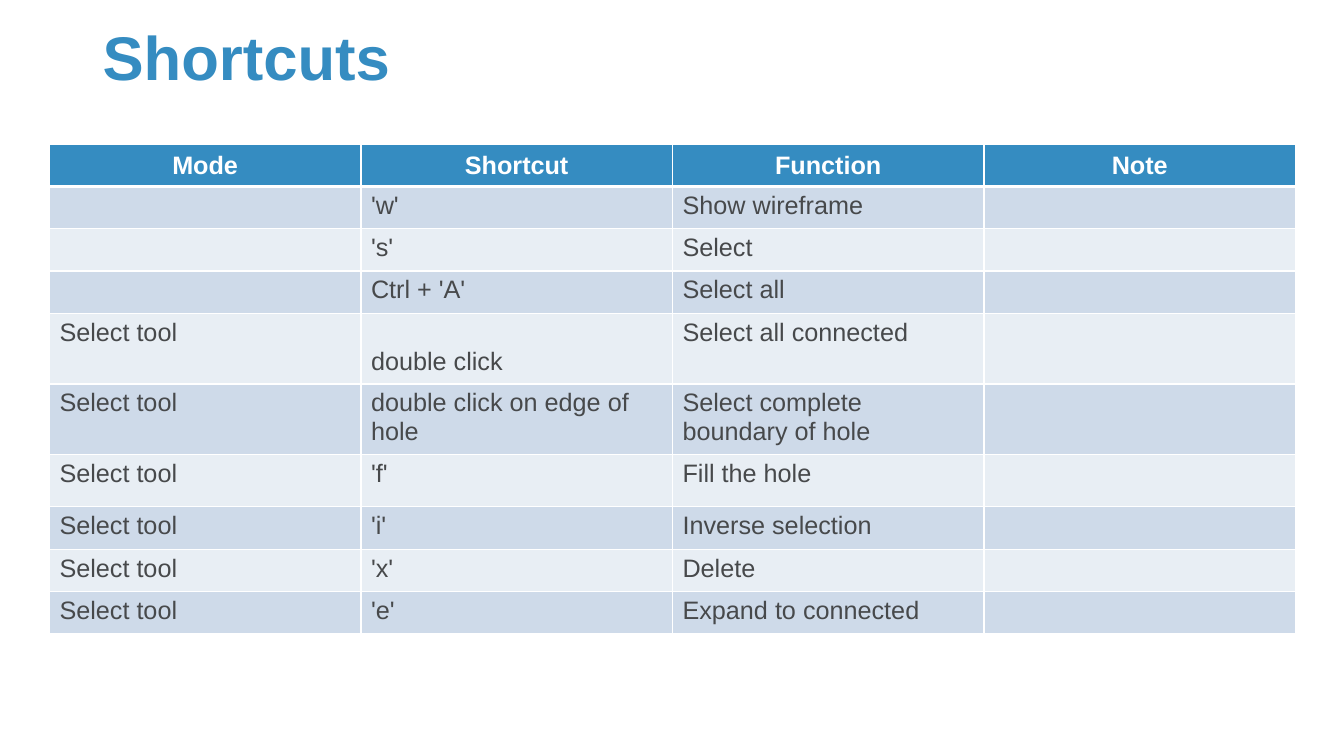
from lxml import etree
from pptx import Presentation
from pptx import util as u
from pptx.dml.color import RGBColor
from pptx.enum import text
from pptx.oxml.ns import qn

COLORS = {"blue": "358CC1", "dark": "47494B", "white": "FFFFFF",
          "band_dark": "CEDAE9", "band_light": "E8EEF4"}
FONT = "Arial"
HEADERS = ["Mode", "Shortcut", "Function", "Note"]
SHORTCUTS = [
    ("", "'w'", "Show wireframe", ""),
    ("", "'s'", "Select", ""),
    ("", "Ctrl + 'A'", "Select all", ""),
    ("Select tool", "double click", "Select all connected", ""),
    ("Select tool", "double click on edge of hole",
     "Select complete boundary of hole", ""),
    ("Select tool", "'f'", "Fill the hole", ""),
    ("Select tool", "'i'", "Inverse selection", ""),
    ("Select tool", "'x'", "Delete", ""),
    ("Select tool", "'e'", "Expand to connected", ""),
]
COLUMN_WIDTH = 3.09
ROW_HEIGHT = 0.42
TALL_ROWS = {4: 0.7, 5: 0.7, 6: 0.52}


def rgb(name):
    return RGBColor.from_string(COLORS[name])


def add_run(p, words, size, color, bold):
    r = p.add_run()
    r.text = words
    r.font.name = FONT
    r.font.size = u.Pt(size)
    r.font.bold = bold
    r.font.color.rgb = rgb(color)


def add_title(slide, words):
    sp = slide.shapes.add_textbox(u.Inches(0.92), u.Inches(0.2),
                                  u.Inches(11.5), u.Inches(0.8))
    tf = sp.text_frame
    tf.word_wrap = True
    tf.vertical_anchor = text.MSO_ANCHOR.MIDDLE
    p = tf.paragraphs[0]
    p.line_spacing = 0.9
    add_run(p, words, 44, "blue", True)


def set_borders(cell, top, bottom):
    """Draw white borders; top and bottom are widths in points."""
    tc_pr = cell._tc.get_or_add_tcPr()
    for tag, width in (("lnL", 1), ("lnR", 1), ("lnT", top), ("lnB", bottom)):
        ln = etree.SubElement(tc_pr, qn(f"a:{tag}"), w=str(u.Pt(width)))
        fill = etree.SubElement(ln, qn("a:solidFill"))
        etree.SubElement(fill, qn("a:srgbClr"), val=COLORS["white"])


def fill_cell(cell, words, row):
    header = row == 0
    set_borders(cell, 3 if row == 1 else 1, 3 if header else 1)
    cell.fill.solid()
    band = "band_dark" if row % 2 else "band_light"
    cell.fill.fore_color.rgb = rgb("blue" if header else band)
    p = cell.text_frame.paragraphs[0]
    p.font.size = u.Pt(18)
    if header:
        cell.vertical_anchor = text.MSO_ANCHOR.MIDDLE
        p.alignment = text.PP_ALIGN.CENTER
    if words:
        add_run(p, words, 18, "white" if header else "dark", header)


def add_shortcut_table(slide):
    rows = [HEADERS, *SHORTCUTS]
    heights = [TALL_ROWS.get(i, ROW_HEIGHT) for i in range(len(rows))]
    frame = slide.shapes.add_table(
        len(rows), len(HEADERS), u.Inches(0.49), u.Inches(1.43),
        u.Inches(COLUMN_WIDTH * len(HEADERS)), u.Inches(sum(heights)))
    table = frame.table
    for column in table.columns:
        column.width = u.Inches(COLUMN_WIDTH)
    for i, (values, height) in enumerate(zip(rows, heights)):
        table.rows[i].height = u.Inches(height)
        for j, words in enumerate(values):
            fill_cell(table.cell(i, j), words, i)
    double_click = table.cell(4, 1)
    double_click.vertical_anchor = text.MSO_ANCHOR.BOTTOM
    double_click.margin_bottom = u.Inches(0.08)


def main():
    prs = Presentation()
    prs.slide_width = u.Inches(13.33)
    prs.slide_height = u.Inches(7.5)
    slide = prs.slides.add_slide(prs.slide_layouts[6])
    add_title(slide, "Shortcuts")
    add_shortcut_table(slide)
    prs.save("out.pptx")


if __name__ == "__main__":
    main()
